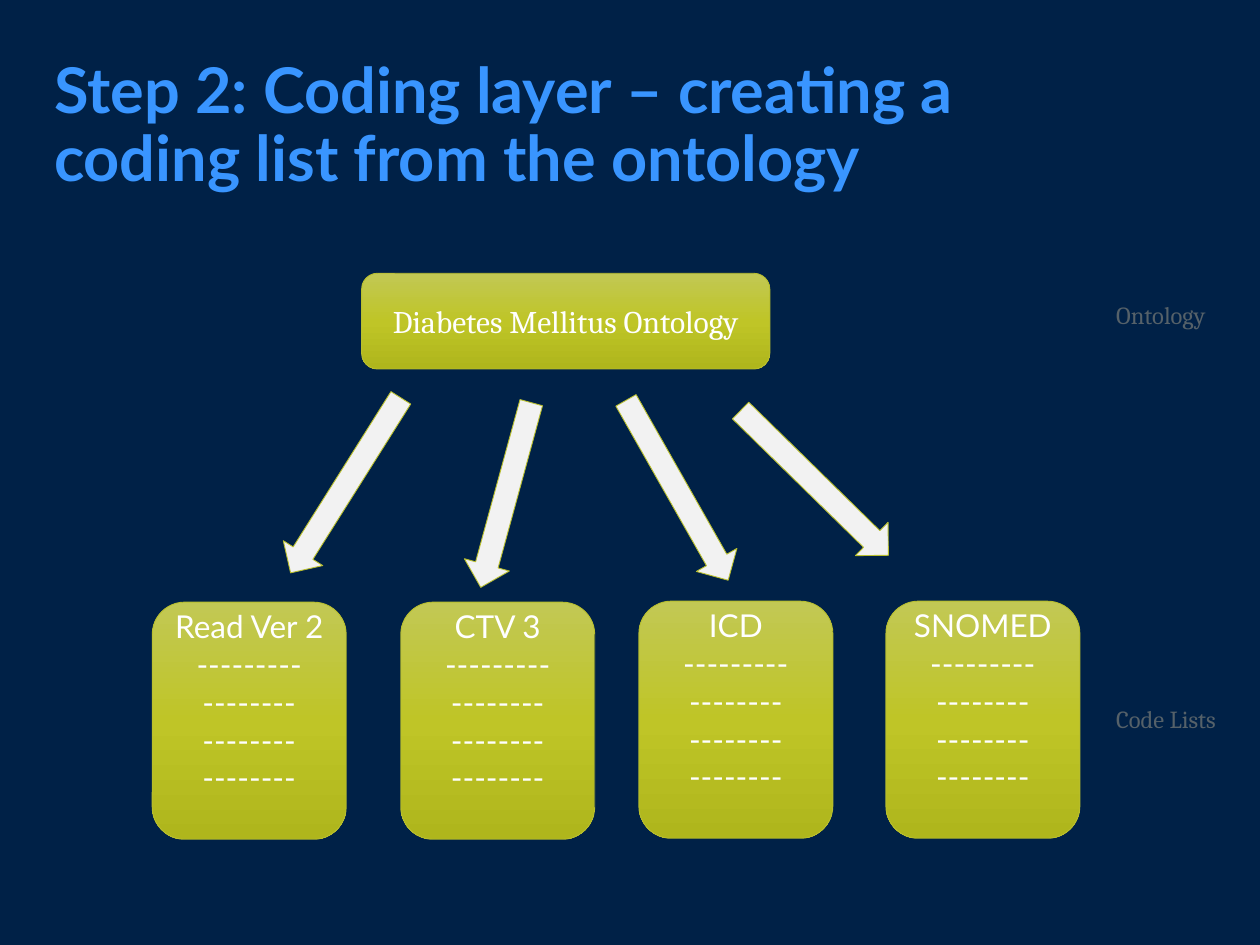
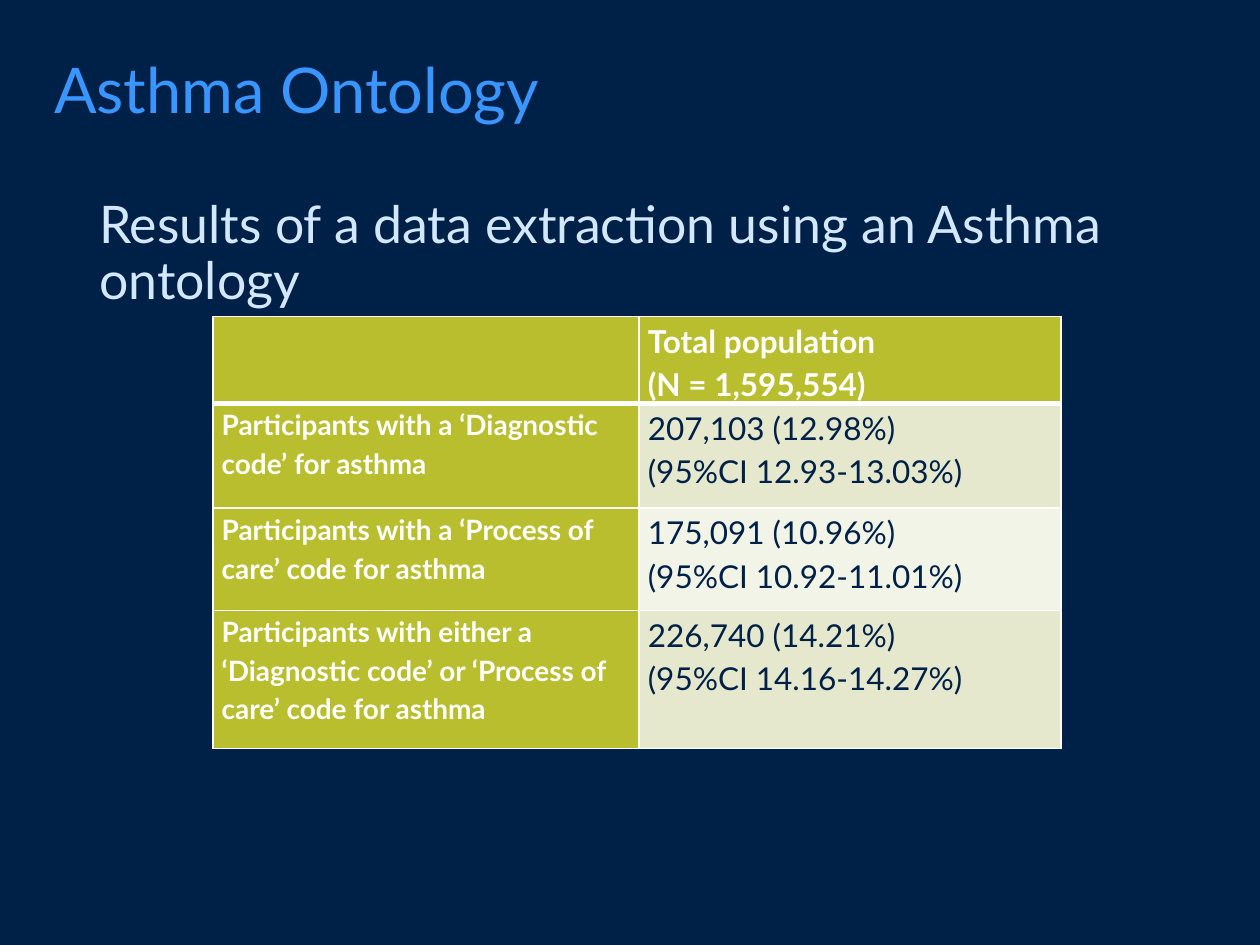
from copy import deepcopy
from lxml import etree
from pptx import Presentation
from pptx.dml.color import RGBColor
from pptx.enum.shapes import MSO_SHAPE
from pptx.enum.text import MSO_ANCHOR, PP_ALIGN
from pptx.oxml.ns import qn
from pptx.util import Cm, Pt

ROUND, ARROW = MSO_SHAPE.ROUNDED_RECTANGLE, MSO_SHAPE.DOWN_ARROW
MIDDLE = MSO_ANCHOR.MIDDLE
LEFT, CENTER, JUSTIFY = PP_ALIGN.LEFT, PP_ALIGN.CENTER, PP_ALIGN.JUSTIFY

SANS, SERIF = "Lato", "Cambria"
NAVY, BLUE, PALE, GREY = "002147", "3995FF", "D3E7FF", "556169"
WHITE, SMOKE, LIME = "FFFFFF", "F2F2F2", "B8BE2E"
BANDS = ["E6E8CD", "F3F4E8"]
SHADES = [(0, "C2C854"), (0.5, "BFC527"), (1, "AFB61C")]

TITLES = ["Step 2: Coding layer – creating a coding list from the ontology",
          "Asthma Ontology"]
ROOT = "Diabetes Mellitus Ontology"
DASHES = ["-" * 9] + ["-" * 8] * 3
CARDS = [("Read Ver 2", 3.07, 12.14), ("CTV 3", 8.08, 12.14),
         ("ICD", 12.88, 12.12), ("SNOMED", 17.86, 12.12)]
ARROWS = [(6.5, 7.7, 4.17, 32.2), (9.73, 8.05, 3.86, 15.3),
          (13.18, 7.8, 4.17, -29.6), (15.95, 7.65, 4.17, -45.6)]
LABELS = [("Code Lists", 14.07), ("Ontology", 5.92)]

INTRO = "Results of a data extraction using an Asthma ontology"
HEAD = ["Total population", "(N = 1,595,554)"]
ROWS = [("Participants with a ‘Diagnostic code’ for asthma",
         ["207,103 (12.98%)", "(95%CI 12.93-13.03%)"]),
        ("Participants with a ‘Process of care’ code for asthma",
         ["175,091 (10.96%)", "(95%CI 10.92-11.01%)"]),
        ("Participants with either a ‘Diagnostic code’ or ‘Process of care’ code for asthma",
         ["226,740 (14.21%)", "(95%CI 14.16-14.27%)"])]
WIDTHS = [8.59, 8.51]
HEIGHTS = [1.65, 2.11, 2.06, 2.79]


def rgb(code):
    return RGBColor.from_string(code)


def write(frame, lines, size, color, face=SANS, bold=False, align=LEFT,
          space=1.0, before=0):
    for i, line in enumerate(lines):
        para = frame.add_paragraph() if i else frame.paragraphs[0]
        para.text = line
        para.alignment, para.line_spacing = align, space
        para.space_before = Pt(before)
        font = para.font
        font.size, font.name, font.bold = Pt(size), face, bold
        font.color.rgb = rgb(color)


def label(slide, box, lines, *style, wrap=True, **more):
    frame = slide.shapes.add_textbox(*map(Cm, box)).text_frame
    frame.word_wrap = wrap
    write(frame, lines, *style, **more)


def shape(slide, kind, box):
    item = slide.shapes.add_shape(kind, *map(Cm, box))
    item.shadow.inherit = False
    item.line.color.rgb = rgb(LIME)
    item.line.width = Pt(0.5)
    return item


def panel(slide, box, lines, face, foot=0.13):
    item = shape(slide, ROUND, box)
    item.fill.gradient()
    item.fill.gradient_angle = 270
    stops = item.element.xpath(".//a:gsLst")[0]
    stops.append(deepcopy(stops[0]))
    for stop, (place, color) in zip(item.fill.gradient_stops, SHADES):
        stop.position, stop.color.rgb = place, rgb(color)
    frame = item.text_frame
    frame.word_wrap, frame.vertical_anchor = True, MIDDLE
    frame.margin_bottom = Cm(foot)
    write(frame, lines, 18, WHITE, face, align=CENTER)


def edge(cell, top, base):
    props = cell._tc.get_or_add_tcPr()
    for i, (side, width) in enumerate(zip("LRTB", (1, 1, top, base))):
        line = etree.Element(qn("a:ln" + side), w=str(Pt(width)))
        fill = etree.SubElement(line, qn("a:solidFill"))
        etree.SubElement(fill, qn("a:srgbClr"), val=WHITE)
        props.insert(i, line)


def paint(cell, lines, fill, top, base, *style, **more):
    cell.margin_left = cell.margin_right = Cm(0.18)
    cell.margin_top = cell.margin_bottom = 0
    cell.fill.solid()
    cell.fill.fore_color.rgb = rgb(fill)
    edge(cell, top, base)
    write(cell.text_frame, lines, *style, space=1.15, **more)


deck = Presentation()
deck.slide_width, deck.slide_height = Cm(25.4), Cm(19.05)
back = deck.slide_master.background.fill
back.solid()
back.fore_color.rgb = rgb(NAVY)


def page(title, bold):
    slide = deck.slides.add_slide(deck.slide_layouts[6])
    label(slide, (0.84, 1.07, 18.64, 3.68), [title], 36, BLUE, bold=bold, space=0.9)
    return slide


tree = page(TITLES[0], True)
panel(tree, (7.29, 5.51, 8.23, 1.93), [ROOT], SERIF)
for (name, left, top), (x, y, high, turn) in zip(CARDS, ARROWS):
    arrow = shape(tree, ARROW, (x, y, 0.94, high))
    arrow.rotation = turn
    arrow.fill.solid()
    arrow.fill.fore_color.rgb = rgb(SMOKE)
    panel(tree, (left, top, 3.91, 4.78), [name] + DASHES, SANS, foot=0.89)
for text, top in LABELS:
    label(tree, (22.25, top, 2.79, 0.86), [text], 14, GREY, SERIF, wrap=False)

data = page(TITLES[1], False)
label(data, (1.75, 3.89, 22.83, 14.12), [INTRO], 29.6, PALE, space=0.9, before=10.6)
grid = data.shapes.add_table(len(HEIGHTS), len(WIDTHS), Cm(4.29), Cm(6.38),
                             Cm(sum(WIDTHS)), Cm(sum(HEIGHTS))).table
for col, width in zip(grid.columns, WIDTHS):
    col.width = Cm(width)
for row, high in zip(grid.rows, HEIGHTS):
    row.height = Cm(high)
for i, lines in enumerate([[], HEAD]):
    paint(grid.cell(0, i), lines, LIME, 1, 3, 18, WHITE, bold=True, align=JUSTIFY)
for i, (group, count) in enumerate(ROWS, 1):
    top = 3 if i == 1 else 1
    paint(grid.cell(i, 0), [group], LIME, top, 1, 16, WHITE, bold=True)
    paint(grid.cell(i, 1), count, BANDS[(i - 1) % 2], top, 1, 18, NAVY)

deck.save("out.pptx")
